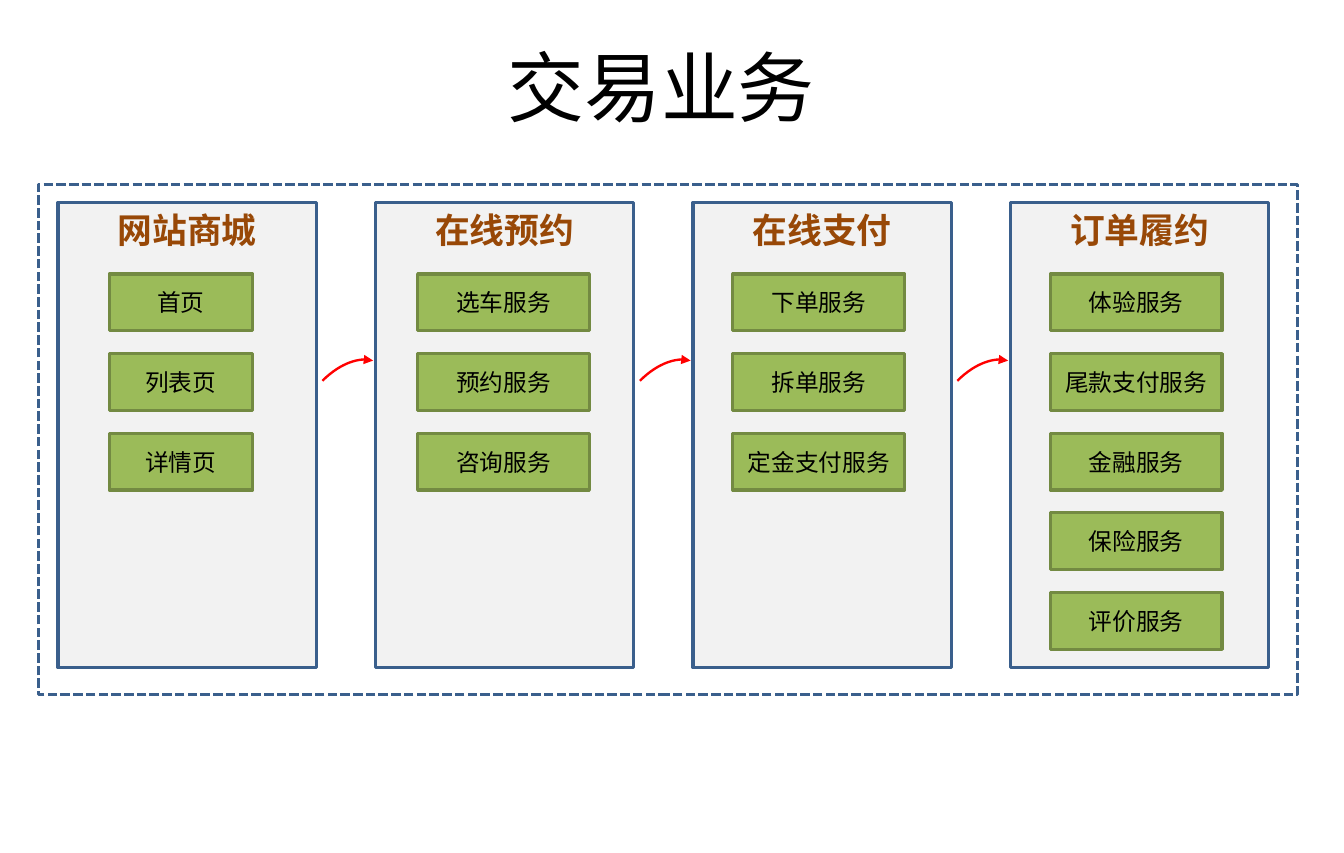
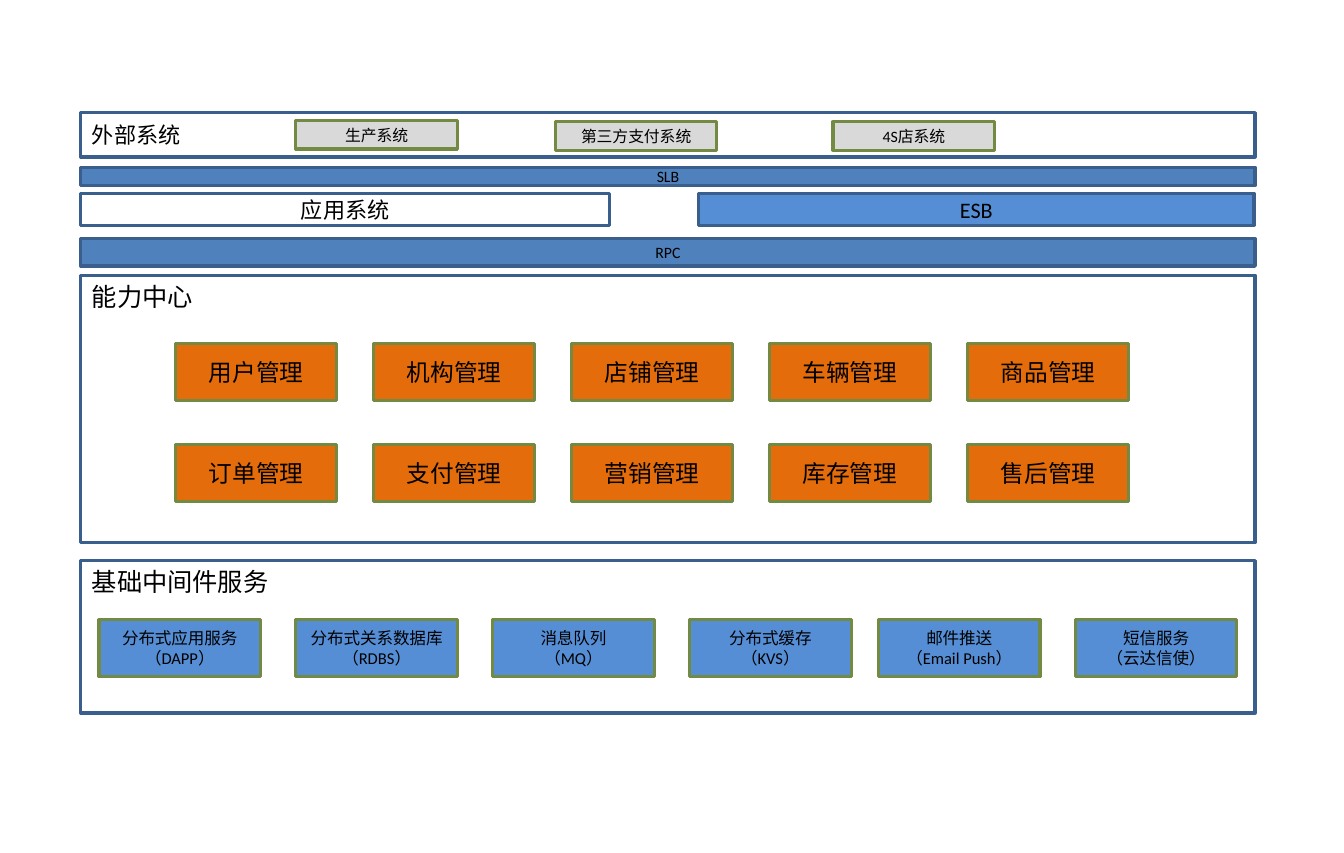
from dataclasses import dataclass

from pptx import Presentation
from pptx.dml.color import RGBColor
from pptx.enum.dml import MSO_LINE
from pptx.enum.shapes import MSO_SHAPE
from pptx.enum.text import MSO_ANCHOR, PP_ALIGN
from pptx.oxml.ns import qn
from pptx.shapes.autoshape import Shape
from pptx.slide import Slide
from pptx.util import Cm, Inches, Pt
from lxml.etree import SubElement

# Shared colours and font
FONT = "Calibri"
BLACK = RGBColor(0x00, 0x00, 0x00)
WHITE = RGBColor(0xFF, 0xFF, 0xFF)
RED = RGBColor(0xFF, 0x00, 0x00)
NAVY = RGBColor(0x3A, 0x5F, 0x8C)
STEEL = RGBColor(0x4F, 0x81, 0xBD)
SKY = RGBColor(0x55, 0x8E, 0xD5)
GREEN = RGBColor(0x9B, 0xBB, 0x59)
OLIVE = RGBColor(0x73, 0x8A, 0x42)
ORANGE = RGBColor(0xE4, 0x6C, 0x0A)
BROWN = RGBColor(0x98, 0x48, 0x07)
PALE = RGBColor(0xF2, 0xF2, 0xF2)
GREY = RGBColor(0xD9, 0xD9, 0xD9)


@dataclass(frozen=True)
class Style:
    """Look of a rectangle and its text."""
    fill: RGBColor | None
    line: RGBColor
    size: float
    color: RGBColor = BLACK
    bold: bool = False
    align: PP_ALIGN = PP_ALIGN.CENTER
    anchor: MSO_ANCHOR = MSO_ANCHOR.MIDDLE
    inset: tuple[float, float] = (0.12, 0.06)


@dataclass(frozen=True)
class Stage:
    """One column of the trading process."""
    title: str
    box_left: float
    box_width: float
    services: tuple[str, ...]


@dataclass(frozen=True)
class Band:
    """One horizontal layer of the architecture."""
    text: str
    left: float
    top: float
    width: float
    height: float
    style: Style


THIN = (0.1, 0.05)
STAGE = Style(PALE, NAVY, 22, BROWN, True, anchor=MSO_ANCHOR.TOP)
SERVICE = Style(GREEN, OLIVE, 15)
FRAME = Style(None, NAVY, 15)
BUS = Style(STEEL, NAVY, 10, inset=THIN)
APPS = Style(None, NAVY, 14, inset=THIN)
GATEWAY = Style(SKY, NAVY, 14, inset=THIN)
EXTERNAL = Style(None, NAVY, 14, align=PP_ALIGN.LEFT, inset=THIN)
PANEL = Style(WHITE, NAVY, 16, align=PP_ALIGN.LEFT, anchor=MSO_ANCHOR.TOP, inset=THIN)
ABILITY = Style(ORANGE, OLIVE, 15)
MIDDLEWARE = Style(SKY, OLIVE, 10.5)
PARTNER = Style(GREY, OLIVE, 10)


def write(sp: Shape, text: str, style: Style) -> None:
    tf = sp.text_frame
    tf.word_wrap = True
    tf.vertical_anchor = style.anchor
    tf.margin_left = tf.margin_right = Inches(style.inset[0])
    tf.margin_top = tf.margin_bottom = Inches(style.inset[1])
    tf.text = text
    for p in tf.paragraphs:
        p.alignment = style.align
        for r in p.runs:
            r.font.name = FONT
            r.font.size = Pt(style.size)
            r.font.bold = style.bold
            r.font.color.rgb = style.color


def add_box(s: Slide, left: float, top: float, width: float, height: float,
            style: Style, text: str = "") -> Shape:
    sp = s.shapes.add_shape(MSO_SHAPE.RECTANGLE, Inches(left), Inches(top),
                            Inches(width), Inches(height))
    sp.shadow.inherit = False
    if style.fill is None:
        sp.fill.background()
    else:
        sp.fill.solid()
        sp.fill.fore_color.rgb = style.fill
    sp.line.color.rgb = style.line
    sp.line.width = Pt(2)
    if text:
        write(sp, text, style)
    return sp


def add_title(s: Slide, text: str) -> None:
    sp = s.shapes.add_textbox(Inches(0.79), Inches(0.44), Inches(10.04), Inches(0.63))
    write(sp, text, Style(None, NAVY, 48.6))


def add_curved_arrow(s: Slide, left: float, top: float) -> None:
    sp = s.shapes.add_shape(MSO_SHAPE.ARC, Inches(left), Inches(top),
                            Inches(1.07), Inches(0.66))
    sp.shadow.inherit = False
    sp.rotation = 307.7
    sp.adjustments[0] = 172.85
    sp.adjustments[1] = 210.79
    sp.fill.background()
    sp.line.color.rgb = RED
    sp.line.width = Pt(1.5)
    SubElement(sp.line._get_or_add_ln(), qn("a:tailEnd"), type="triangle")


# Slide 1: trading process
STAGES = (
    Stage("网站商城", 0.96, 1.26, ("首页", "列表页", "详情页")),
    Stage("在线预约", 3.67, 1.51, ("选车服务", "预约服务", "咨询服务")),
    Stage("在线支付", 6.44, 1.51, ("下单服务", "拆单服务", "定金支付服务")),
    Stage("订单履约", 9.23, 1.51,
          ("体验服务", "尾款支付服务", "金融服务", "保险服务", "评价服务")),
)
STAGE_STEP = 2.79


def build_process(s: Slide) -> None:
    add_title(s, "交易业务")
    for i, stage in enumerate(STAGES):
        add_box(s, 0.51 + i * STAGE_STEP, 1.78, 2.27, 4.09, STAGE, stage.title)
        for row, service in enumerate(stage.services):
            add_box(s, stage.box_left, 2.41 + row * 0.7, stage.box_width, 0.5,
                    SERVICE, service)
    frame = add_box(s, 0.34, 1.62, 11.06, 4.49, FRAME)
    frame.line.dash_style = MSO_LINE.SQUARE_DOT
    for i in range(len(STAGES) - 1):
        add_curved_arrow(s, 2.49 + i * STAGE_STEP, 3.3)


# Slide 2: system architecture
LEFT, FULL, BOX_WIDTH = 0.71, 10.32, 1.42
BANDS = (
    Band("外部系统", LEFT, 0.99, FULL, 0.39, EXTERNAL),
    Band("SLB", LEFT, 1.47, FULL, 0.16, BUS),
    Band("应用系统", LEFT, 1.7, 4.65, 0.28, APPS),
    Band("ESB", 6.14, 1.7, 4.88, 0.28, GATEWAY),
    Band("RPC", LEFT, 2.1, FULL, 0.24, BUS),
    Band("能力中心", LEFT, 2.42, FULL, 2.35, PANEL),
    Band("基础中间件服务", LEFT, 4.93, FULL, 1.34, PANEL),
)
PARTNERS = ((2.6, 1.06, "生产系统"), (4.88, 1.07, "第三方支付系统"), (7.32, 1.07, "4S店系统"))
ABILITIES = (
    ("用户管理", "机构管理", "店铺管理", "车辆管理", "商品管理"),
    ("订单管理", "支付管理", "营销管理", "库存管理", "售后管理"),
)
MIDDLEWARES = (
    (0.87, "分布式应用服务（DAPP）"),
    (2.6, "分布式关系数据库\n（RDBS）"),
    (4.33, "消息队列\n（MQ）"),
    (6.06, "分布式缓存\n（KVS）"),
    (7.72, "邮件推送\n（Email Push）"),
    (9.45, "短信服务\n（云达信使）"),
)


def build_architecture(s: Slide) -> None:
    for band in BANDS:
        add_box(s, band.left, band.top, band.width, band.height, band.style, band.text)
    for left, top, text in PARTNERS:
        add_box(s, left, top, BOX_WIDTH, 0.25, PARTNER, text)
    for row, names in enumerate(ABILITIES):
        for col, name in enumerate(names):
            add_box(s, 1.54 + col * 1.74, 3.02 + row * 0.89, BOX_WIDTH, 0.5, ABILITY, name)
    for left, text in MIDDLEWARES:
        add_box(s, left, 5.45, BOX_WIDTH, 0.5, MIDDLEWARE, text)


# The page is 30 cm wide
prs = Presentation()
prs.slide_width, prs.slide_height = Cm(30), Inches(7.5)
for build in (build_process, build_architecture):
    build(prs.slides.add_slide(prs.slide_layouts[6]))
prs.save("out.pptx")
